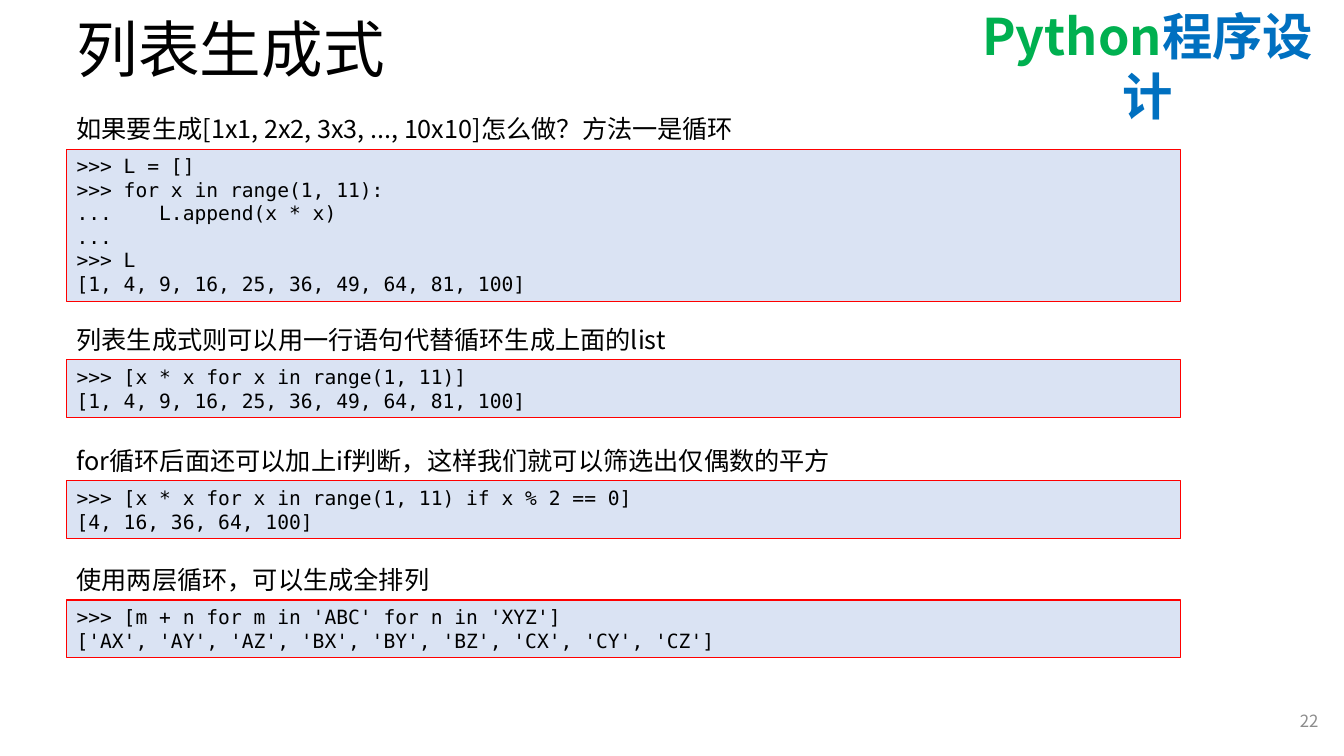
from dataclasses import dataclass

from lxml.etree import SubElement
from pptx import Presentation
from pptx.dml.color import RGBColor
from pptx.enum.shapes import MSO_SHAPE
from pptx.enum.text import MSO_ANCHOR, PP_ALIGN
from pptx.oxml import parse_xml
from pptx.oxml.ns import nsdecls, qn
from pptx.util import Cm, Pt


@dataclass(frozen=True)
class Theme:
    black: str = "000000"
    white: str = "FFFFFF"
    green: str = "00B050"
    blue: str = "0070C0"
    gray: str = "8C8C8C"
    red: str = "FF0000"
    pale: str = "DAE3F3"
    head: int = 44
    mark: int = 36
    body: int = 18
    code: int = 14
    page: int = 12
    sans: str = "Noto Sans CJK SC"
    latin: str = "Arial"
    mono: str = "DejaVu Sans Mono"


THEME = Theme()
LEFT = 1.68

# Top of each step in cm, its label, its code
STEPS = [
    (2.74, "如果要生成[1x1, 2x2, 3x3, ..., 10x10]怎么做？方法一是循环", [
        ">>> L = []",
        ">>> for x in range(1, 11):",
        "...    L.append(x * x)",
        "...",
        ">>> L",
        "[1, 4, 9, 16, 25, 36, 49, 64, 81, 100]",
    ]),
    (8.05, "列表生成式则可以用一行语句代替循环生成上面的list", [
        ">>> [x * x for x in range(1, 11)]",
        "[1, 4, 9, 16, 25, 36, 49, 64, 81, 100]",
    ]),
    (11.1, "for循环后面还可以加上if判断，这样我们就可以筛选出仅偶数的平方", [
        ">>> [x * x for x in range(1, 11) if x % 2 == 0]",
        "[4, 16, 36, 64, 100]",
    ]),
    (14.1, "使用两层循环，可以生成全排列", [
        ">>> [m + n for m in 'ABC' for n in 'XYZ']",
        "['AX', 'AY', 'AZ', 'BX', 'BY', 'BZ', 'CX', 'CY', 'CZ']",
    ]),
]


def style(run, size, color=THEME.black, face=THEME.sans, bold=False):
    font = run.font
    font.size = Pt(size)
    font.name = face
    font.bold = bold
    font.color.rgb = RGBColor.from_string(color)
    if face != THEME.mono:
        SubElement(run._r.get_or_add_rPr(), qn("a:ea"), typeface=THEME.sans)


def edge(run):
    """Put a thin white outline around the letters."""
    line = parse_xml(
        f'<a:ln {nsdecls("a")} w="9525"><a:solidFill>'
        f'<a:srgbClr val="{THEME.white}"/></a:solidFill></a:ln>')
    run._r.get_or_add_rPr().insert(0, line)


def add_text(slide, place, text, size, color=THEME.black, align=PP_ALIGN.LEFT):
    box = slide.shapes.add_textbox(*map(Cm, place))
    frame = box.text_frame
    frame.word_wrap = True
    frame.text = text
    line = frame.paragraphs[0]
    line.alignment = align
    style(line.runs[0], size, color)
    return frame


def add_title(slide, text):
    title = slide.shapes.title
    title.left, title.top = Cm(LEFT), Cm(0)
    title.width, title.height = Cm(29.21), Cm(2.67)
    frame = title.text_frame
    frame.text = text
    frame.vertical_anchor = MSO_ANCHOR.MIDDLE
    line = frame.paragraphs[0]
    line.alignment = PP_ALIGN.LEFT
    line.line_spacing = 0.9
    style(line.runs[0], THEME.head, face=THEME.latin)


def add_mark(slide):
    """Put the two-colour course name at top right."""
    frame = add_text(slide, (24.05, 0, 9.75, 1.8), "Python", THEME.mark,
                     align=PP_ALIGN.CENTER)
    line = frame.paragraphs[0]
    line.add_run().text = "程序设计"
    for run, color in zip(line.runs, (THEME.green, THEME.blue)):
        for old in run._r.findall(qn("a:rPr")):
            run._r.remove(old)
        style(run, THEME.mark, color, bold=True)
        edge(run)


def add_code(slide, top, lines):
    box = slide.shapes.add_shape(
        MSO_SHAPE.RECTANGLE, Cm(LEFT), Cm(top), Cm(28.07),
        Cm(0.6 * len(lines) + 0.25))
    box.shadow.inherit = False
    box.fill.solid()
    box.fill.fore_color.rgb = RGBColor.from_string(THEME.pale)
    box.line.color.rgb = RGBColor.from_string(THEME.red)
    box.line.width = Pt(0.75)
    frame = box.text_frame
    frame.word_wrap = True
    frame.vertical_anchor = MSO_ANCHOR.TOP
    frame.text = "\n".join(lines)
    for line in frame.paragraphs:
        line.alignment = PP_ALIGN.LEFT
        style(line.runs[0], THEME.code, face=THEME.mono)


def main():
    deck = Presentation()
    deck.slide_width, deck.slide_height = Cm(33.87), Cm(19.05)
    slide = deck.slides.add_slide(deck.slide_layouts[5])
    add_mark(slide)
    add_title(slide, "列表生成式")
    page = add_text(slide, (25.86, 17.65, 7.62, 1.02), "22", THEME.page,
                    THEME.gray, PP_ALIGN.RIGHT)
    page.vertical_anchor = MSO_ANCHOR.MIDDLE
    for top, label, code in STEPS:
        add_text(slide, (LEFT, top, 30.73, 1.02), label, THEME.body)
        add_code(slide, top + 1.02, code)
    deck.save("out.pptx")


if __name__ == "__main__":
    main()
